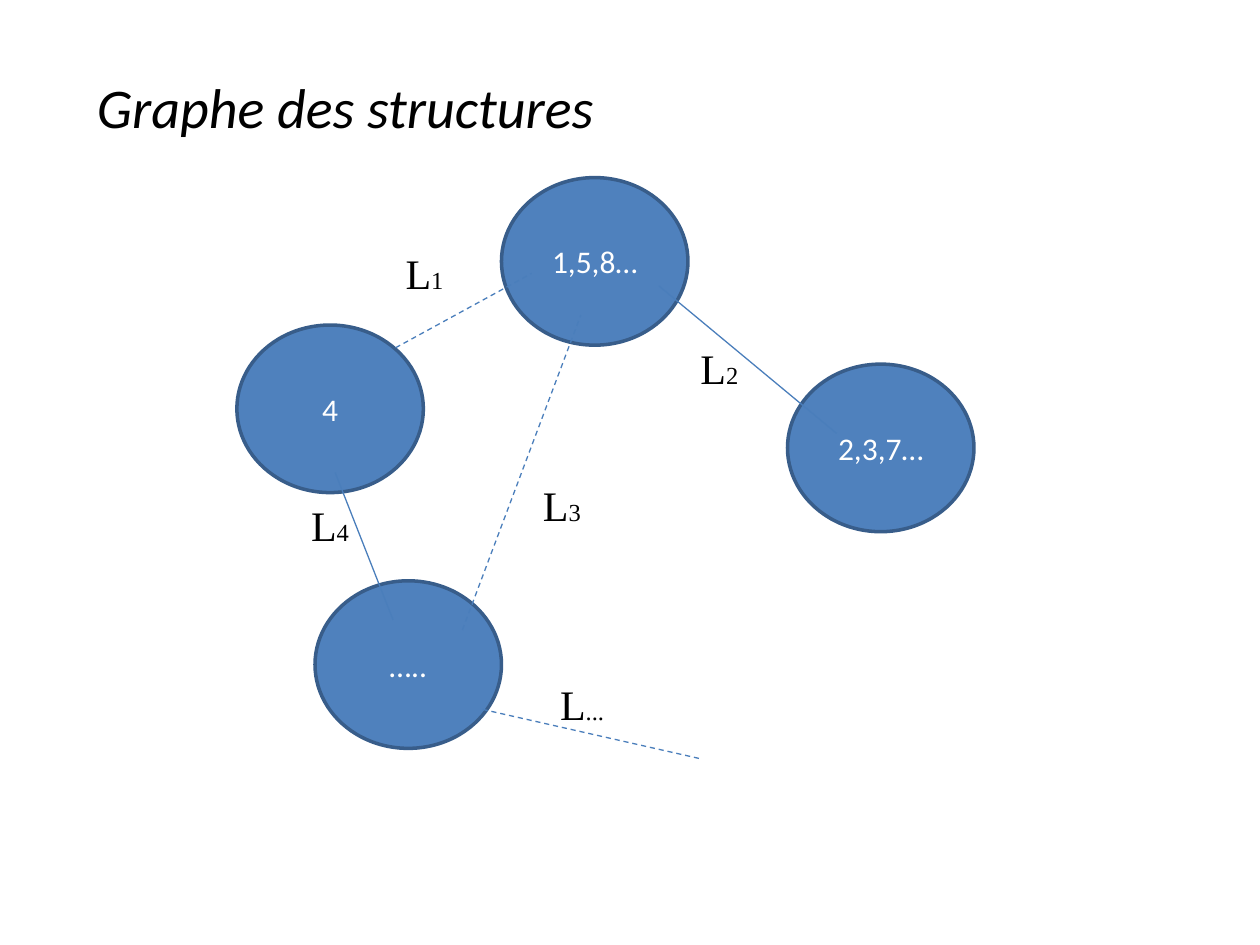
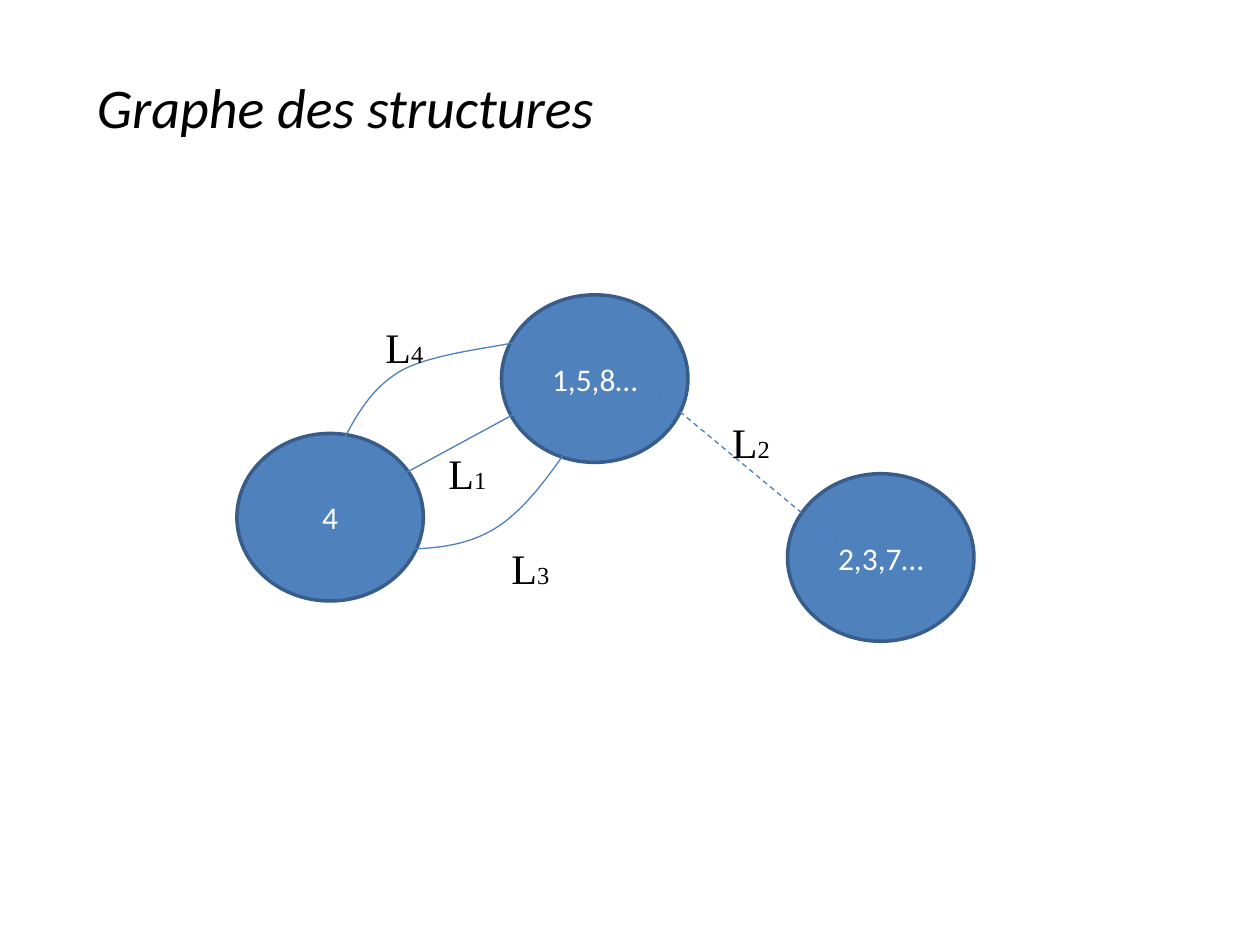
import pptx
import pptx.util
import pptx.dml.color
import pptx.enum.dml
import pptx.enum.shapes
import pptx.enum.text
import pptx.oxml.ns
import lxml.etree

Inches = pptx.util.Inches
Pt = pptx.util.Pt
OVAL = pptx.enum.shapes.MSO_SHAPE.OVAL
COLORS = {"node": "4F81BD", "rim": "385D8A", "edge": "4A7EBB",
          "white": "FFFFFF", "black": "000000"}
TITLE = "Graphe des structures"
NODE_W, NODE_H = 1.48, 1.33
LABEL_W, LABEL_H = 0.58, 0.67
STEPS = 24


def color(name):
    return pptx.dml.color.RGBColor.from_string(COLORS[name])


def style(run, size, font, name, italic=False):
    run.font.size = Pt(size)
    run.font.name = font
    run.font.italic = italic
    run.font.color.rgb = color(name)


def stroke(line, name, width):
    line.color.rgb = color(name)
    line.width = Pt(width)


def add_title(slide):
    box = slide.shapes.add_textbox(Inches(0.67), Inches(0.53), Inches(4.58), Inches(0.64))
    frame = box.text_frame
    frame.word_wrap = True
    frame.auto_size = pptx.enum.text.MSO_AUTO_SIZE.SHAPE_TO_FIT_TEXT
    frame.text = TITLE
    style(frame.paragraphs[0].runs[0], 32, "Calibri", "black", italic=True)


def add_oval(slide, left, top, width, height):
    oval = slide.shapes.add_shape(OVAL, Inches(left), Inches(top), Inches(width), Inches(height))
    oval.shadow.inherit = False
    oval.text_frame.vertical_anchor = pptx.enum.text.MSO_ANCHOR.MIDDLE
    oval.text_frame.paragraphs[0].alignment = pptx.enum.text.PP_ALIGN.CENTER
    return oval


def add_node(slide, text, left, top):
    node = add_oval(slide, left, top, NODE_W, NODE_H)
    node.fill.solid()
    node.fill.fore_color.rgb = color("node")
    stroke(node.line, "rim", 2)
    para = node.text_frame.paragraphs[0]
    para.text = text
    style(para.runs[0], 18, "Calibri", "white")


def add_label(slide, index, left, top):
    """Write L followed by a small index."""
    label = add_oval(slide, left, top, LABEL_W, LABEL_H)
    label.fill.background()
    label.line.fill.background()
    label.text_frame.word_wrap = False
    for text, size in (("L", 24), (index, 14)):
        run = label.text_frame.paragraphs[0].add_run()
        run.text = text
        style(run, size, "Times New Roman", "black")


def add_edge(slide, start, end, dashed=False):
    kind = pptx.enum.shapes.MSO_CONNECTOR.STRAIGHT
    edge = slide.shapes.add_connector(kind, *map(Inches, start + end))
    stroke(edge.line, "edge", 0.75)
    if dashed:
        edge.line.dash_style = pptx.enum.dml.MSO_LINE.DASH
    lxml.etree.SubElement(edge._element.spPr, pptx.oxml.ns.qn("a:effectLst"))


def trace(p0, p1, p2, p3):
    """Return points along a cubic curve, its start left out."""
    points = []
    for step in range(1, STEPS + 1):
        t = step / STEPS
        u = 1 - t
        points.append(tuple(
            Inches(u**3 * a + 3 * u * u * t * b + 3 * u * t * t * c + t**3 * d)
            for a, b, c, d in zip(p0, p1, p2, p3)))
    return points


def add_curve(slide, *knots):
    """Draw joined cubic curves: a start, then three points for each."""
    pen = slide.shapes.build_freeform(*map(Inches, knots[0]))
    for i in range(0, len(knots) - 1, 3):
        pen.add_line_segments(trace(*knots[i:i + 4]), close=False)
    curve = pen.convert_to_shape()
    curve.shadow.inherit = False
    curve.fill.background()
    stroke(curve.line, "node", 0.75)


def add_graph(deck, nodes, edges, curves, labels):
    slide = deck.slides.add_slide(deck.slide_layouts[6])
    for node in nodes:
        add_node(slide, *node)
    for edge in edges:
        add_edge(slide, *edge)
    add_title(slide)
    for curve in curves:
        add_curve(slide, *curve)
    for label in labels:
        add_label(slide, *label)


def main():
    deck = pptx.Presentation()
    deck.slide_width, deck.slide_height = Inches(10), Inches(7.5)
    add_graph(
        deck,
        nodes=[("4", 1.88, 2.58), ("1,5,8…", 3.98, 1.41),
               ("2,3,7…", 6.25, 2.89), ("…..", 2.5, 4.61)],
        edges=[((3.14, 2.76), (4.22, 2.17), True),
               ((5.23, 2.27), (6.64, 3.44)),
               ((2.66, 3.75), (3.12, 4.92)),
               ((3.67, 5), (4.61, 2.5), True),
               ((3.83, 5.63), (5.55, 6.02), True)],
        curves=[],
        labels=[("3", 4.17, 3.67), ("2", 5.42, 2.58), ("1", 3.08, 1.83),
                ("...", 4.33, 5.25), ("4", 2.33, 3.83)])
    add_graph(
        deck,
        nodes=[("4", 1.88, 3.44), ("1,5,8…", 3.98, 2.34), ("2,3,7…", 6.25, 3.76)],
        edges=[((3.17, 3.78), (4.24, 3.2)),
               ((5.23, 3.13), (6.64, 4.3), True)],
        curves=[((2.67, 3.61), (2.79, 3.36), (2.92, 3.1), (3.17, 2.95),
                 (3.42, 2.8), (4, 2.75), (4.17, 2.7)),
                ((3.08, 4.36), (3.38, 4.36), (3.67, 4.35), (3.92, 4.2),
                 (4.17, 4.05), (4.38, 3.75), (4.58, 3.45))],
        labels=[("4", 2.92, 2.42), ("3", 3.92, 4.17),
                ("1", 3.42, 3.42), ("2", 5.67, 3.17)])
    deck.save("out.pptx")


if __name__ == "__main__":
    main()
